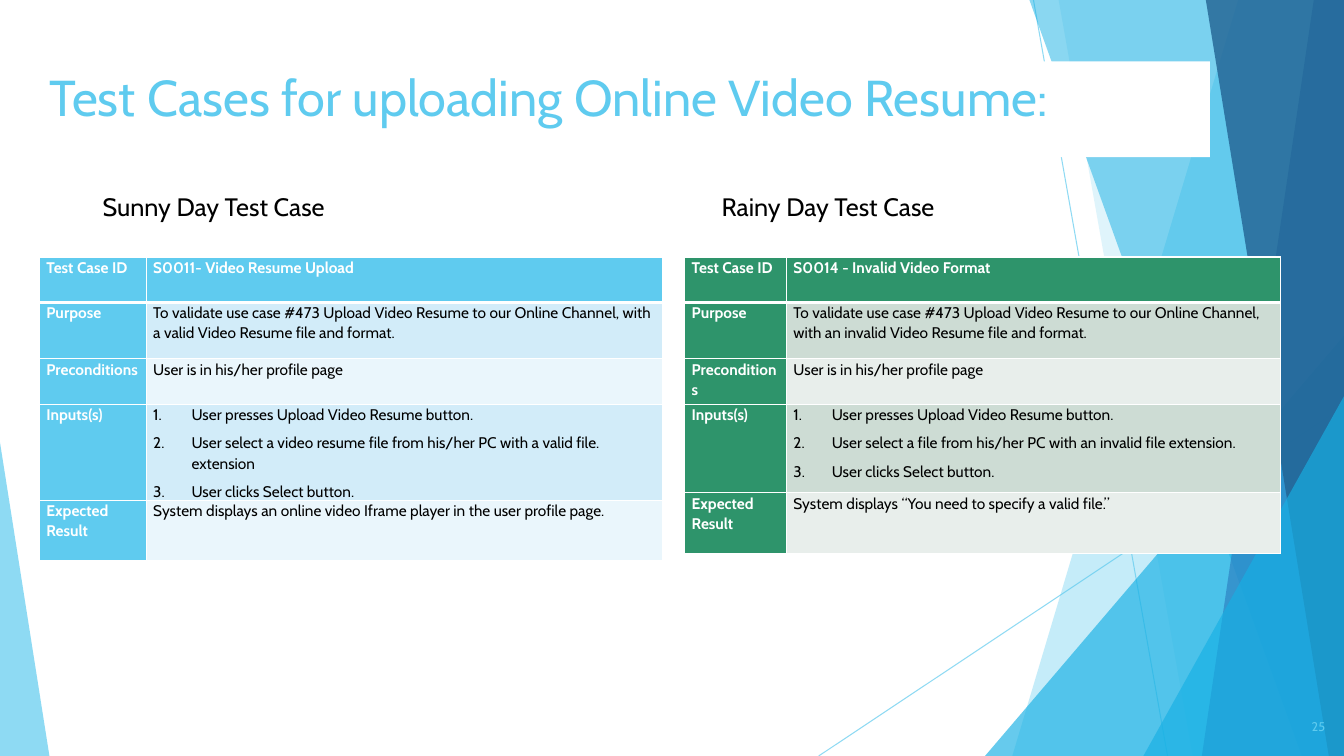
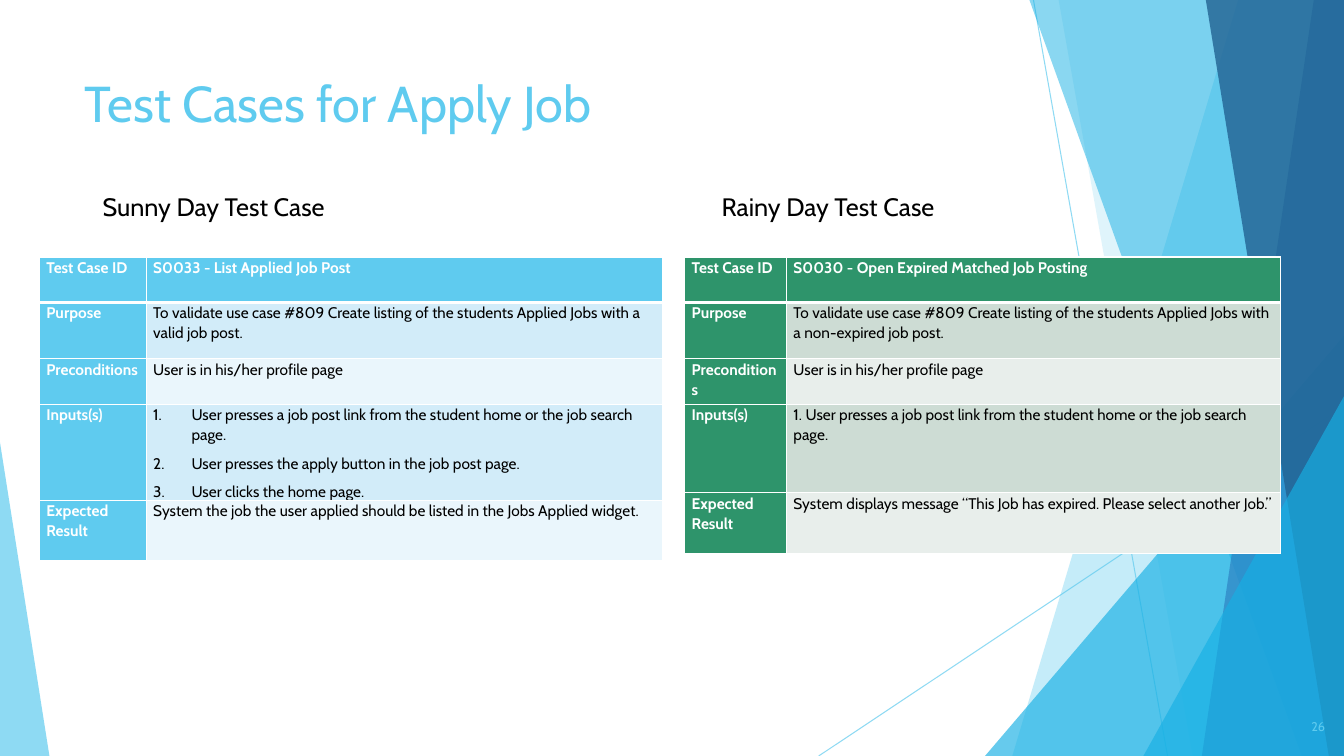
from lxml import etree
from pptx import Presentation
from pptx.dml.color import RGBColor
from pptx.enum.shapes import MSO_CONNECTOR, MSO_SHAPE
from pptx.enum.text import MSO_ANCHOR, PP_ALIGN
from pptx.oxml.ns import qn
from pptx.util import Inches, Pt

STRAIGHT = MSO_CONNECTOR.STRAIGHT
TRIANGLE = MSO_SHAPE.ISOSCELES_TRIANGLE
TOP, MIDDLE = MSO_ANCHOR.TOP, MSO_ANCHOR.MIDDLE
LEFT, RIGHT = PP_ALIGN.LEFT, PP_ALIGN.RIGHT

COLORS = {
    "white": "FFFFFF", "black": "000000", "sky": "5FCBEF", "azure": "17B0E4",
    "blue": "2E83C3", "navy": "226292", "green": "2E946B",
    "sky_band": "D2ECF9", "sky_pale": "EAF6FC",
    "green_band": "CDDCD4", "green_pale": "E8EEEB",
}
FONT = "Cabin"
WIDTH, HEIGHT = 13.33, 7.5
RAYS = [((10.25, 0), (11.58, HEIGHT)), ((WIDTH, 4.03), (8.12, HEIGHT))]
BACK_SLICES = [(12.28, 10.04, "sky", 36), (10.5, 11.83, "sky", 20)]
FRONT_SLICES = [(10.21, 12.91, "azure", 50), (13.03, 11.92, "blue", 70),
                (11.96, 13.18, "navy", 80)]
ROW_LABELS = ["Test Case ID", "Purpose", "Preconditions", "Inputs(s)",
              "Expected Result"]
ROW_HEIGHTS = [0.45, 0.56, 0.45, 0.88, 0.6]
PROFILE = "User is in his/her profile page"
SUNNY = {"heading": "Sunny Day Test Case", "heading_left": 0.92,
         "left": 0.39, "columns": [1.06, 5.12],
         "fills": ("sky", "sky_band", "sky_pale")}
RAINY = {"heading": "Rainy Day Test Case", "heading_left": 7.06,
         "left": 6.79, "columns": [1.01, 4.9],
         "fills": ("green", "green_band", "green_pale")}

PAGES = [
    {
        "title": "Test Cases for uploading Online Video Resume:",
        "title_box": (0.39, 0.61, 11.61, 0.95), "title_fill": "white",
        "number": "25",
        "sunny": [
            "S0011- Video Resume Upload",
            "To validate use case #473 Upload Video Resume to our Online "
            "Channel, with a valid Video Resume file and format.",
            PROFILE,
            ["User presses Upload Video Resume button.",
             "User select a video resume file from his/her PC with a valid "
             "file. extension",
             "User clicks Select button."],
            "System displays an online video Iframe player in the user "
            "profile page.",
        ],
        "rainy": [
            "S0014 - Invalid Video Format",
            "To validate use case #473 Upload Video Resume to our Online "
            "Channel, with an invalid Video Resume file and format.",
            PROFILE,
            ["User presses Upload Video Resume button.",
             "User select a file from his/her PC with an invalid file "
             "extension.",
             "User clicks Select button."],
            "System displays “You need to specify a valid file.”",
        ],
    },
    {
        "title": "Test Cases for Apply Job",
        "title_box": (0.74, 0.67, 9.4, 1.44), "title_fill": None,
        "number": "26",
        "sunny": [
            "S0033 - List Applied Job Post",
            "To validate use case #809 Create listing of the students Applied "
            "Jobs with a valid job post.",
            PROFILE,
            ["User presses a job post link from the student home or the job "
             "search page.",
             "User presses the apply button in the job post page.",
             "User clicks the home page."],
            "System the job the user applied should be listed in the Jobs "
            "Applied widget.",
        ],
        "rainy": [
            "S0030 - Open Expired Matched Job Posting",
            "To validate use case #809 Create listing of the students Applied "
            "Jobs with a non-expired job post.",
            PROFILE,
            "1. User presses a job post link from the student home or the job "
            "search page.",
            "System displays message “This Job has expired. Please select "
            "another Job.”",
        ],
    },
]


def rgb(name):
    """Return the named palette colour."""
    return RGBColor.from_string(COLORS[name])


def set_alpha(fill_parent, percent):
    """Make the solid colour below an element partly transparent."""
    color = fill_parent.find(".//" + qn("a:srgbClr"))
    etree.SubElement(color, qn("a:alpha"), val=str(percent * 1000))


def tint(shape, color, percent):
    """Give a shape a transparent fill without line or shadow."""
    shape.shadow.inherit = False
    shape.fill.solid()
    shape.fill.fore_color.rgb = rgb(color)
    shape.line.fill.background()
    set_alpha(shape._element.spPr, percent)


def style_para(para, size, color, bold=False):
    """Format every run of a paragraph."""
    for span in para.runs:
        span.font.name = FONT
        span.font.size = Pt(size)
        span.font.bold = bold
        span.font.color.rgb = rgb(color)


def add_text(page, box, text, size, color, anchor=TOP, align=LEFT):
    """Add a wrapped single-paragraph text box."""
    label = page.shapes.add_textbox(*map(Inches, box))
    frame = label.text_frame
    frame.word_wrap = True
    frame.vertical_anchor = anchor
    frame.text = text
    frame.paragraphs[0].alignment = align
    style_para(frame.paragraphs[0], size, color)
    return label


def add_ray(page, start, end):
    """Draw one thin transparent line of the backdrop."""
    ray = page.shapes.add_connector(STRAIGHT, *map(Inches, start + end))
    ray.line.color.rgb = rgb("sky")
    ray.line.width = Pt(0.75)
    properties = ray._element.spPr
    set_alpha(properties, 70)
    etree.SubElement(properties, qn("a:effectLst"))


def add_slice(page, top, bottom, color, percent):
    """Draw a full-height slice reaching the right edge."""
    corners = [(WIDTH, 0), (WIDTH, HEIGHT), (bottom, HEIGHT)]
    builder = page.shapes.build_freeform(Inches(top), 0)
    builder.add_line_segments([tuple(map(Inches, corner)) for corner in corners])
    tint(builder.convert_to_shape(), color, percent)


def add_wedge(page, left, top, width, apex, color, percent):
    """Draw a right triangle standing on the bottom edge."""
    box = (left, top, width, HEIGHT - top)
    wedge = page.shapes.add_shape(TRIANGLE, *map(Inches, box))
    wedge.adjustments[0] = apex
    tint(wedge, color, percent)


def add_backdrop(page):
    """Draw the faceted backdrop shared by all pages."""
    for start, end in RAYS:
        add_ray(page, start, end)
    for facet in BACK_SLICES:
        add_slice(page, *facet)
    add_wedge(page, 9.77, 3.33, 3.56, 1, "azure", 66)
    for facet in FRONT_SLICES:
        add_slice(page, *facet)
    add_wedge(page, 11.34, 3.93, 1.99, 1, "azure", 66)
    add_wedge(page, 0, 4.39, 0.49, 0, "sky", 70)


def add_borders(cell, row):
    """Draw white cell borders, with a thick rule below the header."""
    widths = {"a:lnL": 1, "a:lnR": 1, "a:lnT": 3 if row == 1 else 1,
              "a:lnB": 3 if row == 0 else 1}
    properties = cell._tc.get_or_add_tcPr()
    for index, (tag, width) in enumerate(widths.items()):
        border = etree.Element(qn(tag), w=str(Pt(width)))
        fill = etree.SubElement(border, qn("a:solidFill"))
        etree.SubElement(fill, qn("a:srgbClr"), val=COLORS["white"])
        properties.insert(index, border)


def number_para(para):
    """Turn a paragraph into a numbered item with a hanging indent."""
    properties = para._p.get_or_add_pPr()
    indent = Inches(0.38)
    properties.set("marL", str(indent))
    properties.set("indent", str(-indent))
    etree.SubElement(properties, qn("a:buAutoNum"), type="arabicPeriod")


def fill_cell(cell, row, content, fill, strong):
    """Write a text or a numbered list into a table cell."""
    cell.margin_left = cell.margin_right = Inches(0.07)
    cell.margin_top = cell.margin_bottom = 0
    cell.fill.solid()
    cell.fill.fore_color.rgb = rgb(fill)
    add_borders(cell, row)
    numbered = isinstance(content, list)
    cell.text_frame.text = "\n".join(content) if numbered else content
    for para in cell.text_frame.paragraphs:
        para.line_spacing = 1.07
        para.space_before = Pt(6)
        if numbered:
            number_para(para)
        style_para(para, 11, "white" if strong else "black", strong)


def add_case_table(page, side, contents):
    """Add the test case table of one side."""
    box = (side["left"], 2.55, sum(side["columns"]), sum(ROW_HEIGHTS))
    table = page.shapes.add_table(len(ROW_LABELS), 2, *map(Inches, box)).table
    table.first_row = table.horz_banding = False
    for column, width in zip(table.columns, side["columns"]):
        column.width = Inches(width)
    main, band, pale = side["fills"]
    for row, (label, content) in enumerate(zip(ROW_LABELS, contents)):
        table.rows[row].height = Inches(ROW_HEIGHTS[row])
        fill_cell(table.cell(row, 0), row, label, main, True)
        header = row == 0
        fill = main if header else band if row % 2 else pale
        fill_cell(table.cell(row, 1), row, content, fill, header)


def add_page(deck, content):
    """Add one page comparing a sunny and a rainy test case."""
    page = deck.slides.add_slide(deck.slide_layouts[6])
    add_backdrop(page)
    title = add_text(page, content["title_box"], content["title"], 36, "sky")
    if content["title_fill"]:
        title.fill.solid()
        title.fill.fore_color.rgb = rgb(content["title_fill"])
    for side, key in ((SUNNY, "sunny"), (RAINY, "rainy")):
        add_case_table(page, side, content[key])
        add_text(page, (side["heading_left"], 1.85, 5.63, 0.4),
                 side["heading"], 18, "black")
    add_text(page, (12.49, 7.01, 0.75, 0.4), content["number"], 9, "sky",
             MIDDLE, RIGHT)


def main():
    """Build and save the deck."""
    deck = Presentation()
    deck.slide_width, deck.slide_height = Inches(WIDTH), Inches(HEIGHT)
    for content in PAGES:
        add_page(deck, content)
    deck.save("out.pptx")


if __name__ == "__main__":
    main()
